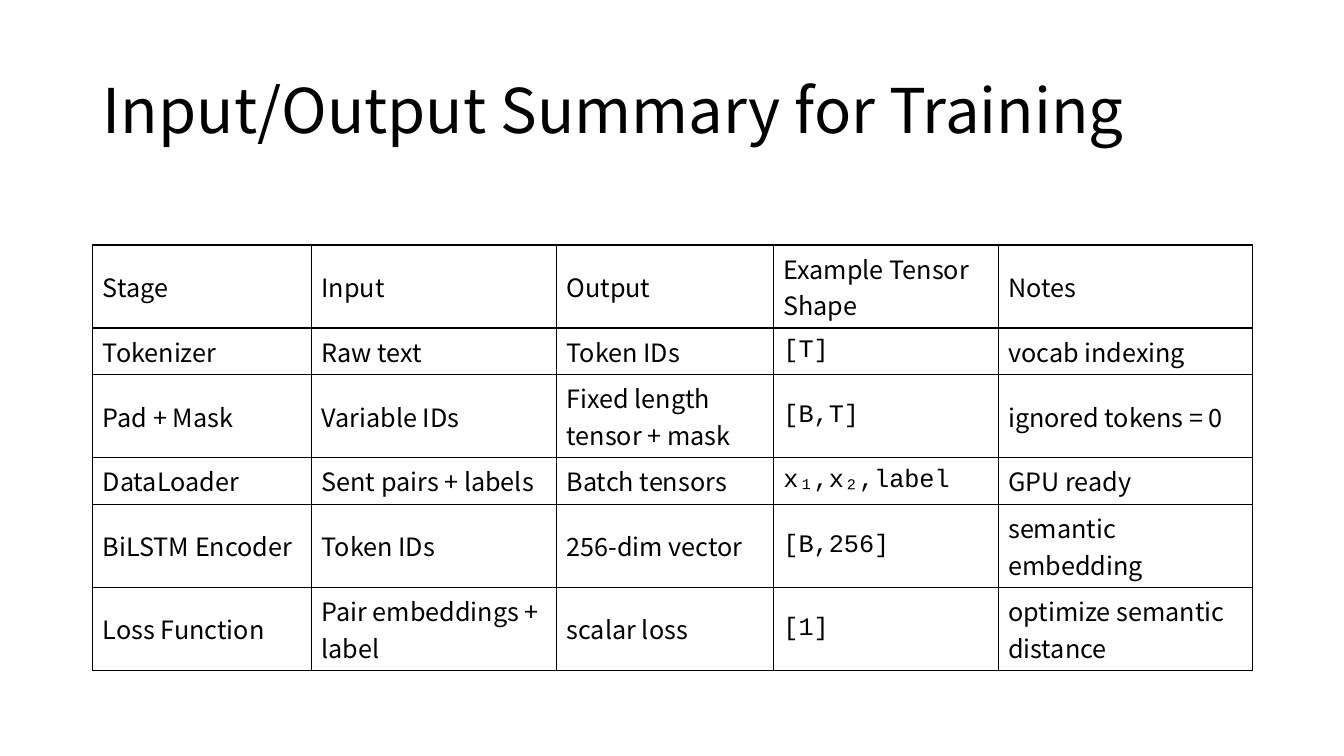
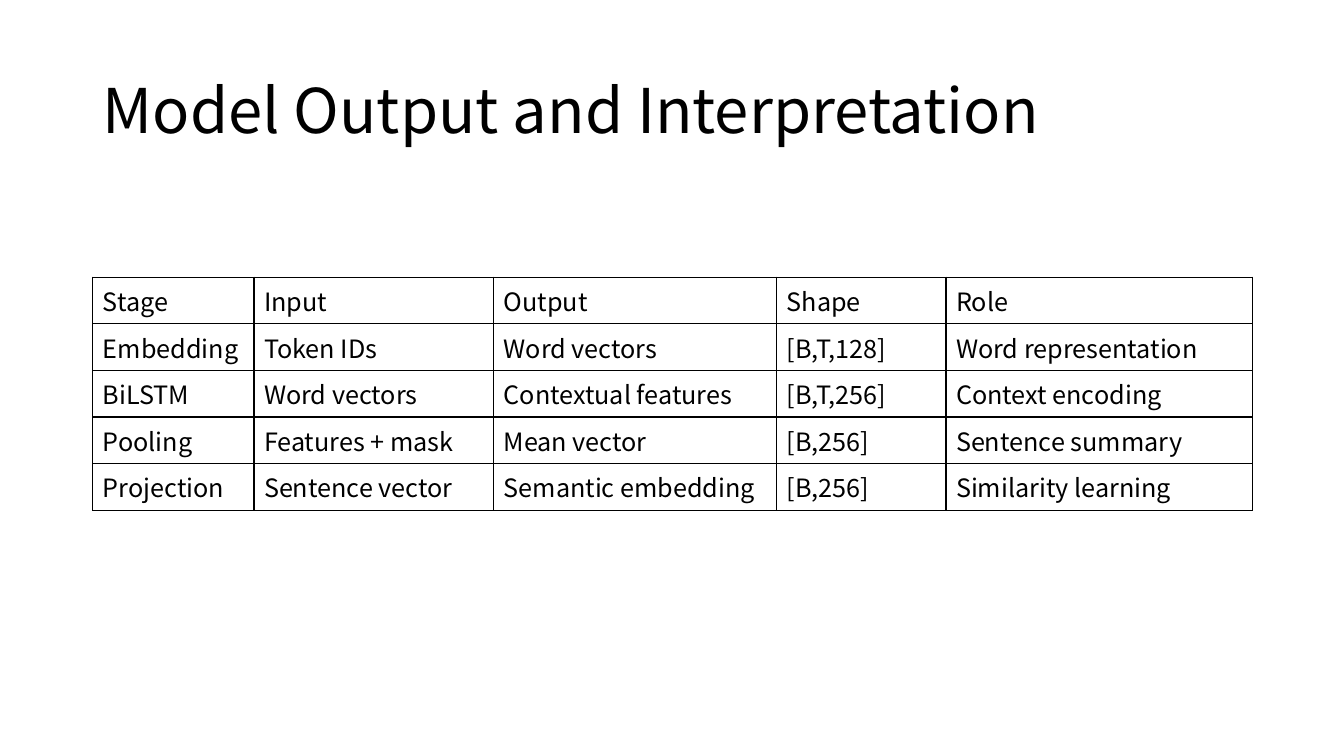
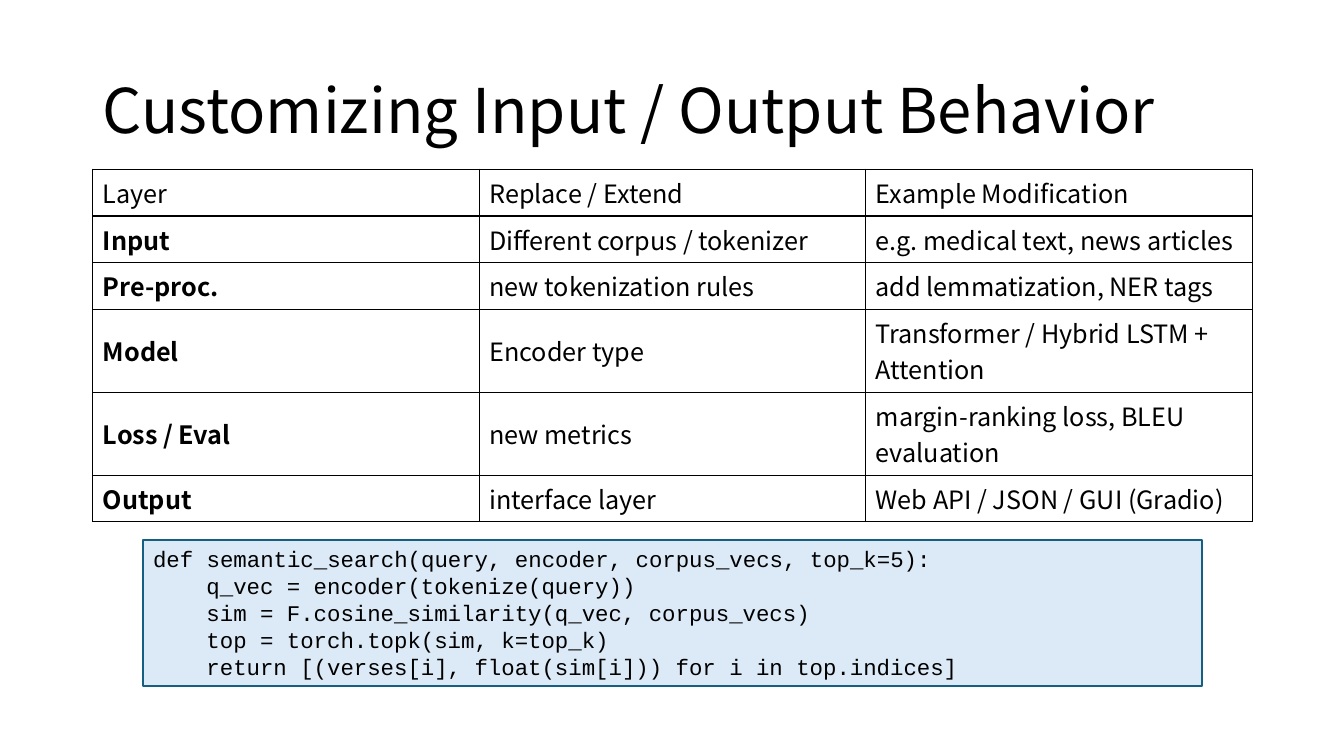
import pptx
import pptx.dml.color
import pptx.enum.shapes
import pptx.enum.text
import pptx.oxml
import pptx.oxml.ns
import pptx.util
import lxml.etree

RGBColor = pptx.dml.color.RGBColor
BLACK = RGBColor(0x00, 0x00, 0x00)
WHITE = RGBColor(0xFF, 0xFF, 0xFF)
CODE_FILL = RGBColor(0xDC, 0xEA, 0xF7)
CODE_LINE = RGBColor(0x15, 0x60, 0x82)

SLIDE_WIDTH, SLIDE_HEIGHT = 13.33, 7.5
CONTENT_WIDTH = 11.5
CONTENT_LEFT = 0.92
CODE_INSET = 0.5
LINE_HEIGHT, CELL_PADDING = 0.36, 0.1
CODE_INDENT = 0.53

BODY_FONT, CODE_FONT = "Noto Sans CJK JP", "Courier New"
TITLE_TEXT = {"name": BODY_FONT, "size": pptx.util.Pt(44), "bold": False}
CELL_TEXT = {"name": BODY_FONT, "size": pptx.util.Pt(18), "bold": False}
CODE_TEXT = {"name": CODE_FONT, "size": pptx.util.Pt(16), "bold": False}

TRAINING_ROWS = [
    ["Stage", "Input", "Output", "Example Tensor Shape", "Notes"],
    ["Tokenizer", "Raw text", "Token IDs", "[T]", "vocab indexing"],
    ["Pad + Mask", "Variable IDs", "Fixed length tensor + mask", "[B,T]", "ignored tokens = 0"],
    ["DataLoader", "Sent pairs + labels", "Batch tensors", "x₁,x₂,label", "GPU ready"],
    ["BiLSTM Encoder", "Token IDs", "256-dim vector", "[B,256]", "semantic embedding"],
    ["Loss Function", "Pair embeddings + label", "scalar loss", "[1]", "optimize semantic distance"],
]
MODEL_ROWS = [
    ["Stage", "Input", "Output", "Shape", "Role"],
    ["Embedding", "Token IDs", "Word vectors", "[B,T,128]", "Word representation"],
    ["BiLSTM", "Word vectors", "Contextual features", "[B,T,256]", "Context encoding"],
    ["Pooling", "Features + mask", "Mean vector", "[B,256]", "Sentence summary"],
    ["Projection", "Sentence vector", "Semantic embedding", "[B,256]", "Similarity learning"],
]
CUSTOM_ROWS = [
    ["Layer", "Replace / Extend", "Example Modification"],
    ["Input", "Different corpus / tokenizer", "e.g. medical text, news articles"],
    ["Pre-proc.", "new tokenization rules", "add lemmatization, NER tags"],
    ["Model", "Encoder type", "Transformer / Hybrid LSTM + Attention"],
    ["Loss / Eval", "new metrics", "margin-ranking loss, BLEU evaluation"],
    ["Output", "interface layer", "Web API / JSON / GUI (Gradio)"],
]
SEARCH_CODE = [
    (0, "def semantic_search(query, encoder, corpus_vecs, top_k=5):"),
    (1, "q_vec = encoder(tokenize(query))"),
    (1, "sim = F.cosine_similarity(q_vec, corpus_vecs)"),
    (1, "top = torch.topk(sim, k=top_k)"),
    (1, "return [(verses[i], float(sim[i])) for i in top.indices]"),
]


def box(left, top, width, height):
    """Return a position and size in inches as lengths."""
    return [pptx.util.Inches(value) for value in (left, top, width, height)]


def write(paragraph, text, text_format):
    """Put one formatted black run into a left-aligned paragraph."""
    paragraph.alignment = pptx.enum.text.PP_ALIGN.LEFT
    run = paragraph.add_run()
    run.text = text
    for name, value in text_format.items():
        setattr(run.font, name, value)
    run.font.color.rgb = BLACK


def add_titled_slide(presentation, title):
    """Add a white title-only slide with the shared title style."""
    slide = presentation.slides.add_slide(presentation.slide_layouts[5])
    slide.background.fill.solid()
    slide.background.fill.fore_color.rgb = WHITE
    shape = slide.shapes.title
    shape.left, shape.top, shape.width, shape.height = box(CONTENT_LEFT, 0.4, CONTENT_WIDTH, 1.45)
    frame = shape.text_frame
    frame.auto_size = pptx.enum.text.MSO_AUTO_SIZE.NONE
    frame.vertical_anchor = pptx.enum.text.MSO_ANCHOR.MIDDLE
    frame.paragraphs[0].line_spacing = 0.9
    write(frame.paragraphs[0], title, TITLE_TEXT)
    return slide


def add_borders(cell):
    """Draw a thin black line on each side of a cell."""
    properties = cell._tc.get_or_add_tcPr()
    for position, side in enumerate(("lnL", "lnR", "lnT", "lnB")):
        line = pptx.oxml.parse_xml(
            f'<a:{side} {pptx.oxml.ns.nsdecls("a")} w="{pptx.util.Pt(1)}">'
            f'<a:solidFill><a:srgbClr val="{BLACK}"/></a:solidFill></a:{side}>'
        )
        properties.insert(position, line)


def add_grid(slide, top, rows, widths, row_lines, formats=None):
    """Add a bordered table; formats change the body text of given columns."""
    heights = [lines * LINE_HEIGHT + CELL_PADDING for lines in row_lines]
    frame = slide.shapes.add_table(
        len(rows), len(widths), *box(CONTENT_LEFT, top, CONTENT_WIDTH, sum(heights))
    )
    table = frame.table
    table.first_row = table.horz_banding = False
    for column, width in zip(table.columns, widths):
        column.width = pptx.util.Inches(CONTENT_WIDTH * width / sum(widths))
    for row_index, (row, height) in enumerate(zip(rows, heights)):
        table.rows[row_index].height = pptx.util.Inches(height)
        for column_index, text in enumerate(row):
            cell = table.cell(row_index, column_index)
            cell.vertical_anchor = pptx.enum.text.MSO_ANCHOR.MIDDLE
            cell.fill.background()
            add_borders(cell)
            changes = (formats or {}).get(column_index, {}) if row_index else {}
            write(cell.text_frame.paragraphs[0], text, {**CELL_TEXT, **changes})


def add_code_box(slide, top, height, lines):
    """Add a centred code panel with one paragraph for each line."""
    position = box(CONTENT_LEFT + CODE_INSET, top, CONTENT_WIDTH - 2 * CODE_INSET, height)
    shape = slide.shapes.add_shape(pptx.enum.shapes.MSO_SHAPE.RECTANGLE, *position)
    shape.shadow.inherit = False
    shape.fill.solid()
    shape.fill.fore_color.rgb = CODE_FILL
    shape.line.color.rgb = CODE_LINE
    shape.line.width = pptx.util.Pt(1.5)
    frame = shape.text_frame
    frame.word_wrap = True
    frame.auto_size = pptx.enum.text.MSO_AUTO_SIZE.SHAPE_TO_FIT_TEXT
    frame.vertical_anchor = pptx.enum.text.MSO_ANCHOR.TOP
    for index, (level, text) in enumerate(lines):
        paragraph = frame.add_paragraph() if index else frame.paragraphs[0]
        write(paragraph, text, CODE_TEXT)
        indent = pptx.util.Inches(level * CODE_INDENT)
        paragraph._p.get_or_add_pPr().set("marL", str(int(indent)))


def main():
    """Build the three slides and save them."""
    presentation = pptx.Presentation()
    presentation.slide_width = pptx.util.Inches(SLIDE_WIDTH)
    presentation.slide_height = pptx.util.Inches(SLIDE_HEIGHT)

    slide = add_titled_slide(presentation, "Input/Output Summary for Training")
    add_grid(slide, 2.43, TRAINING_ROWS, [2.17, 2.43, 2.15, 2.23, 2.52],
             [2, 1, 2, 1, 2, 2], {3: {"name": CODE_FONT}})

    slide = add_titled_slide(presentation, "Model Output and Interpretation")
    add_grid(slide, 2.75, MODEL_ROWS, [1.6, 2.38, 2.81, 1.68, 3.04], [1] * 5)

    slide = add_titled_slide(presentation, "Customizing Input / Output Behavior")
    add_grid(slide, 1.68, CUSTOM_ROWS, [1] * 3, [1, 1, 1, 2, 2, 1], {0: {"bold": True}})
    add_code_box(slide, 5.36, 1.45, SEARCH_CODE)

    presentation.save("out.pptx")


if __name__ == "__main__":
    main()
